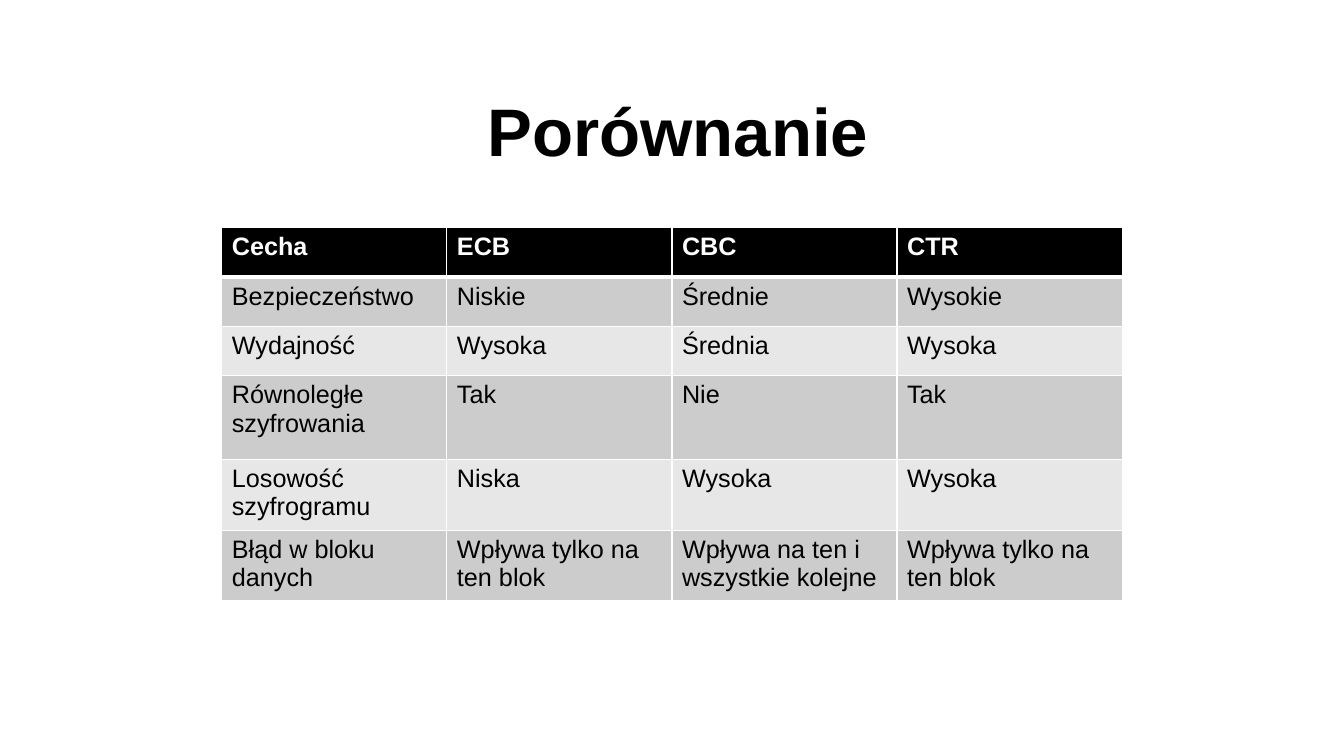
import pptx
import pptx.util
import pptx.dml.color
import pptx.enum.text
import pptx.oxml
import pptx.oxml.ns

FONT = "Arial"
ROWS = [
    ["Cecha", "ECB", "CBC", "CTR"],
    ["Bezpieczeństwo", "Niskie", "Średnie", "Wysokie"],
    ["Wydajność", "Wysoka", "Średnia", "Wysoka"],
    ["Równoległe szyfrowania", "Tak", "Nie", "Tak"],
    ["Losowość szyfrogramu", "Niska", "Wysoka", "Wysoka"],
    ["Błąd w bloku danych", "Wpływa tylko na ten blok",
     "Wpływa na ten i wszystkie kolejne", "Wpływa tylko na ten blok"],
]
HIGHS = [0.49, 0.49, 0.49, 0.83, 0.49, 0.49]


def style(par, size, color, bold):
    for run in par.runs:
        run.font.name = FONT
        run.font.size = pptx.util.Pt(size)
        run.font.bold = bold
        run.font.color.rgb = pptx.dml.color.RGBColor.from_string(color)


def edge(cell, side, width):
    cell._tc.get_or_add_tcPr().append(pptx.oxml.parse_xml(
        f'<a:ln{side} {pptx.oxml.ns.nsdecls("a")} w="{pptx.util.Pt(width)}">'
        '<a:solidFill><a:srgbClr val="FFFFFF"/></a:solidFill>'
        f'</a:ln{side}>'))


deck = pptx.Presentation()
deck.slide_width = pptx.util.Inches(13.33)
deck.slide_height = pptx.util.Inches(7.5)
slide = deck.slides.add_slide(deck.slide_layouts[6])

# Title
box = slide.shapes.add_textbox(
    pptx.util.Inches(0.89), pptx.util.Inches(0.53),
    pptx.util.Inches(11.67), pptx.util.Inches(1.22))
frame = box.text_frame
frame.word_wrap = True
frame.vertical_anchor = pptx.enum.text.MSO_ANCHOR.BOTTOM
frame.text = "Porównanie"
head = frame.paragraphs[0]
head.alignment = pptx.enum.text.PP_ALIGN.CENTER
head.line_spacing = 0.9
style(head, 48, "000000", True)

# Table grid
grid = slide.shapes.add_table(
    len(ROWS), len(ROWS[0]),
    pptx.util.Inches(2.2), pptx.util.Inches(2.26),
    pptx.util.Inches(8.93), pptx.util.Inches(sum(HIGHS))).table
for row, high in zip(grid.rows, HIGHS):
    row.height = pptx.util.Inches(high)

# Cells: black header, then two greys in turn
for r, texts in enumerate(ROWS):
    top = r == 0
    fill = "000000" if top else ("CCCCCC" if r % 2 else "E7E7E7")
    for c, text in enumerate(texts):
        cell = grid.cell(r, c)
        cell.text = text
        style(cell.text_frame.paragraphs[0], 18,
              "FFFFFF" if top else "000000", top)
        widths = {"L": 1, "R": 1, "T": 3 if r == 1 else 1, "B": 3 if top else 1}
        for side, width in widths.items():
            edge(cell, side, width)
        cell.fill.solid()
        cell.fill.fore_color.rgb = pptx.dml.color.RGBColor.from_string(fill)

deck.save("out.pptx")
